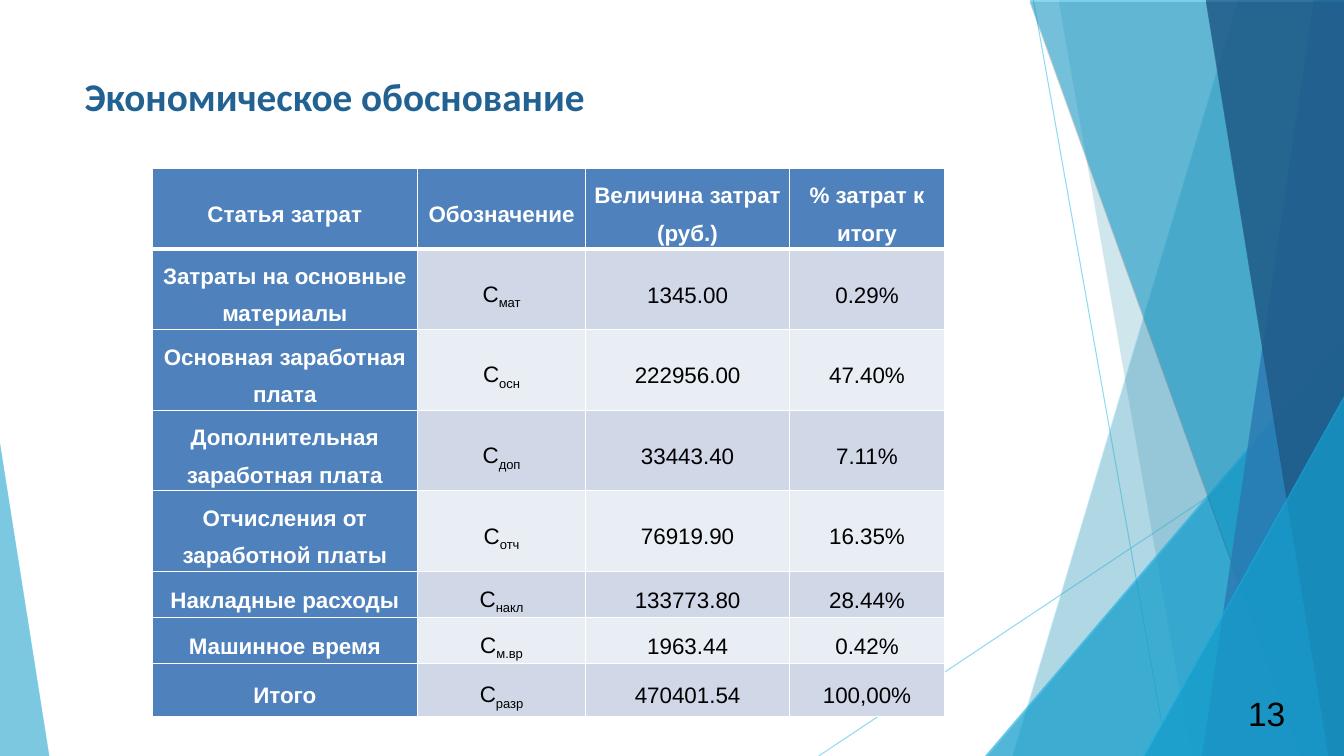
from dataclasses import dataclass

from lxml import etree
from pptx import Presentation
from pptx import util as u
from pptx.dml.color import RGBColor
from pptx.enum import shapes, text
from pptx.oxml import ns

WIDTH, HEIGHT = 13.33, 7.5
BAND_TOP = -0.01
WHITE = RGBColor(0xFF, 0xFF, 0xFF)
BLACK = RGBColor(0x00, 0x00, 0x00)
SKY = RGBColor(0x5F, 0xCB, 0xEF)
CYAN = RGBColor(0x17, 0xB0, 0xE4)
BLUE = RGBColor(0x2E, 0x83, 0xC3)
NAVY = RGBColor(0x22, 0x62, 0x92)
HEADER_FILL = RGBColor(0x4F, 0x81, 0xBD)
ROW_FILLS = (RGBColor(0xD0, 0xD8, 0xE8), RGBColor(0xE9, 0xED, 0xF4))


@dataclass(frozen=True)
class Band:
    """Sloped band reaching the right edge of the slide."""
    top_left: float
    bottom_left: float
    colour: RGBColor
    opacity: int


@dataclass(frozen=True)
class Corner:
    """Right triangle standing on the bottom edge of the slide."""
    left: float
    top: float
    width: float
    apex: float
    colour: RGBColor
    opacity: int


@dataclass(frozen=True)
class Cost:
    """One cost item of the table."""
    name: str
    subscript: str
    amount: str
    share: str


RAYS = ((10.25, 0, 11.58, HEIGHT), (WIDTH, 4.03, 8.12, HEIGHT))
FACETS = (
    Band(12.28, 10.04, SKY, 36),
    Band(10.5, 11.82, SKY, 20),
    Corner(9.77, 3.33, 3.56, 1, CYAN, 66),
    Band(10.21, 12.91, CYAN, 50),
    Band(13.03, 11.92, BLUE, 70),
    Band(11.96, 13.18, NAVY, 80),
    Corner(11.34, 3.93, 1.99, 1, CYAN, 66),
    Corner(0, 4.39, 0.49, 0, SKY, 70),
)
HEADERS = ("Статья затрат", "Обозначение", "Величина затрат (руб.)", "% затрат к итогу")
COSTS = (
    Cost("Затраты на основные материалы", "мат", "1345.00", "0.29%"),
    Cost("Основная заработная плата", "осн", "222956.00", "47.40%"),
    Cost("Дополнительная заработная плата", "доп", "33443.40", "7.11%"),
    Cost("Отчисления от заработной платы", "отч", "76919.90", "16.35%"),
    Cost("Накладные расходы", "накл", "133773.80", "28.44%"),
    Cost("Машинное время", "м.вр", "1963.44", "0.42%"),
    Cost("Итого", "разр", "470401.54", "100,00%"),
)
COLUMN_WIDTHS = (2.63, 1.67, 2.02, 1.54)
ROW_HEIGHTS = (0.79,) * 5 + (0.4,) * 2 + (0.53,)


def add_child(parent, tag: str, **attributes):
    """Append a DrawingML element and return it."""
    values = {name: str(value) for name, value in attributes.items()}
    return etree.SubElement(parent, ns.qn(f"a:{tag}"), values)


def set_opacity(shape, percent: int) -> None:
    """Make the solid colour of a shape or line partly transparent."""
    for colour in shape._element.spPr.iter(ns.qn("a:srgbClr")):
        add_child(colour, "alpha", val=percent * 1000)


def write(paragraph, content: str, *, size: float, font: str = "Arial",
          colour: RGBColor = BLACK, bold: bool = False, baseline: int = 0) -> None:
    """Add a formatted run to a paragraph."""
    run = paragraph.add_run()
    run.text = content
    run.font.size, run.font.name = u.Pt(size), font
    run.font.bold = bold
    run.font.color.rgb = colour
    if baseline:
        run._r.get_or_add_rPr().set("baseline", str(baseline * 1000))


def add_ray(slide, left: float, top: float, right: float, bottom: float) -> None:
    """Draw a thin translucent line."""
    ray = slide.shapes.add_connector(
        shapes.MSO_CONNECTOR.STRAIGHT,
        u.Inches(left), u.Inches(top), u.Inches(right), u.Inches(bottom))
    ray.line.color.rgb, ray.line.width = SKY, u.Pt(0.74)
    set_opacity(ray, 70)
    add_child(ray._element.spPr, "effectLst")


def add_facet(slide, facet: Band | Corner) -> None:
    """Draw a translucent band or corner with its soft shadow."""
    if isinstance(facet, Band):
        builder = slide.shapes.build_freeform(u.Inches(facet.top_left), u.Inches(BAND_TOP))
        outline = ((WIDTH, BAND_TOP), (WIDTH, HEIGHT), (facet.bottom_left, HEIGHT))
        builder.add_line_segments([(u.Inches(x), u.Inches(y)) for x, y in outline])
        shape = builder.convert_to_shape()
    else:
        shape = slide.shapes.add_shape(
            shapes.MSO_SHAPE.ISOSCELES_TRIANGLE, u.Inches(facet.left), u.Inches(facet.top),
            u.Inches(facet.width), u.Inches(HEIGHT - facet.top))
        shape.adjustments[0] = facet.apex
    shape.fill.solid()
    shape.fill.fore_color.rgb = facet.colour
    set_opacity(shape, facet.opacity)
    shape.line.fill.background()
    shape.shadow.inherit = False
    effects = shape._element.spPr.find(ns.qn("a:effectLst"))
    shadow = add_child(effects, "outerShdw", dist=u.Pt(2), dir=5400000, rotWithShape=0)
    add_child(add_child(shadow, "srgbClr", val=BLACK), "alpha", val=35000)


def add_text(slide, content: str, left: float, top: float, width: float, height: float,
             **text_format) -> None:
    """Place a text box holding one formatted line."""
    box = slide.shapes.add_textbox(
        u.Inches(left), u.Inches(top), u.Inches(width), u.Inches(height))
    box.text_frame.word_wrap = True
    write(box.text_frame.paragraphs[0], content, **text_format)


def style_cell(cell, fill: RGBColor, bottom_width: float):
    """Format a table cell and return its paragraph."""
    properties = cell._tc.get_or_add_tcPr()
    for side, width in (("L", 1), ("R", 1), ("T", 1), ("B", bottom_width)):
        border = add_child(properties, f"ln{side}", w=u.Pt(width))
        add_child(add_child(border, "solidFill"), "srgbClr", val=WHITE)
    cell.fill.solid()
    cell.fill.fore_color.rgb = fill
    cell.vertical_anchor = text.MSO_ANCHOR.MIDDLE
    cell.margin_left = cell.margin_right = u.Inches(0.06)
    cell.margin_top = cell.margin_bottom = 0
    paragraph = cell.text_frame.paragraphs[0]
    paragraph.alignment = text.PP_ALIGN.CENTER
    paragraph.line_spacing = 1.5
    return paragraph


def add_cost_table(slide) -> None:
    """Draw the table of costs."""
    table = slide.shapes.add_table(
        len(ROW_HEIGHTS), len(COLUMN_WIDTHS), u.Inches(1.51), u.Inches(1.67),
        u.Inches(sum(COLUMN_WIDTHS)), u.Inches(sum(ROW_HEIGHTS))).table
    for column, width in zip(table.columns, COLUMN_WIDTHS):
        column.width = u.Inches(width)
    for row, height in zip(table.rows, ROW_HEIGHTS):
        row.height = u.Inches(height)
    rows = [HEADERS] + [(cost.name, "С", cost.amount, cost.share) for cost in COSTS]
    for row_index, values in enumerate(rows):
        for column_index, value in enumerate(values):
            heading = row_index == 0 or column_index == 0
            fill = HEADER_FILL if heading else ROW_FILLS[(row_index - 1) % 2]
            paragraph = style_cell(table.cell(row_index, column_index), fill,
                                   bottom_width=1 if row_index else 3)
            write(paragraph, value, size=16, bold=heading,
                  colour=WHITE if heading else BLACK)
            if row_index and column_index == 1:
                write(paragraph, COSTS[row_index - 1].subscript, size=16, baseline=-25)


def main() -> None:
    """Build the slide and save it."""
    presentation = Presentation()
    presentation.slide_width, presentation.slide_height = u.Inches(WIDTH), u.Inches(HEIGHT)
    slide = presentation.slides.add_slide(presentation.slide_layouts[6])
    for ray in RAYS:
        add_ray(slide, *ray)
    for facet in FACETS:
        add_facet(slide, facet)
    add_text(slide, "Экономическое обоснование", 0.74, 0.67, 9.4, 0.4,
             size=28, font="Calibri", colour=NAVY, bold=True)
    add_cost_table(slide)
    add_text(slide, "13", 12.28, 6.83, 0.63, 0.5, size=24)
    presentation.save("out.pptx")


main()
